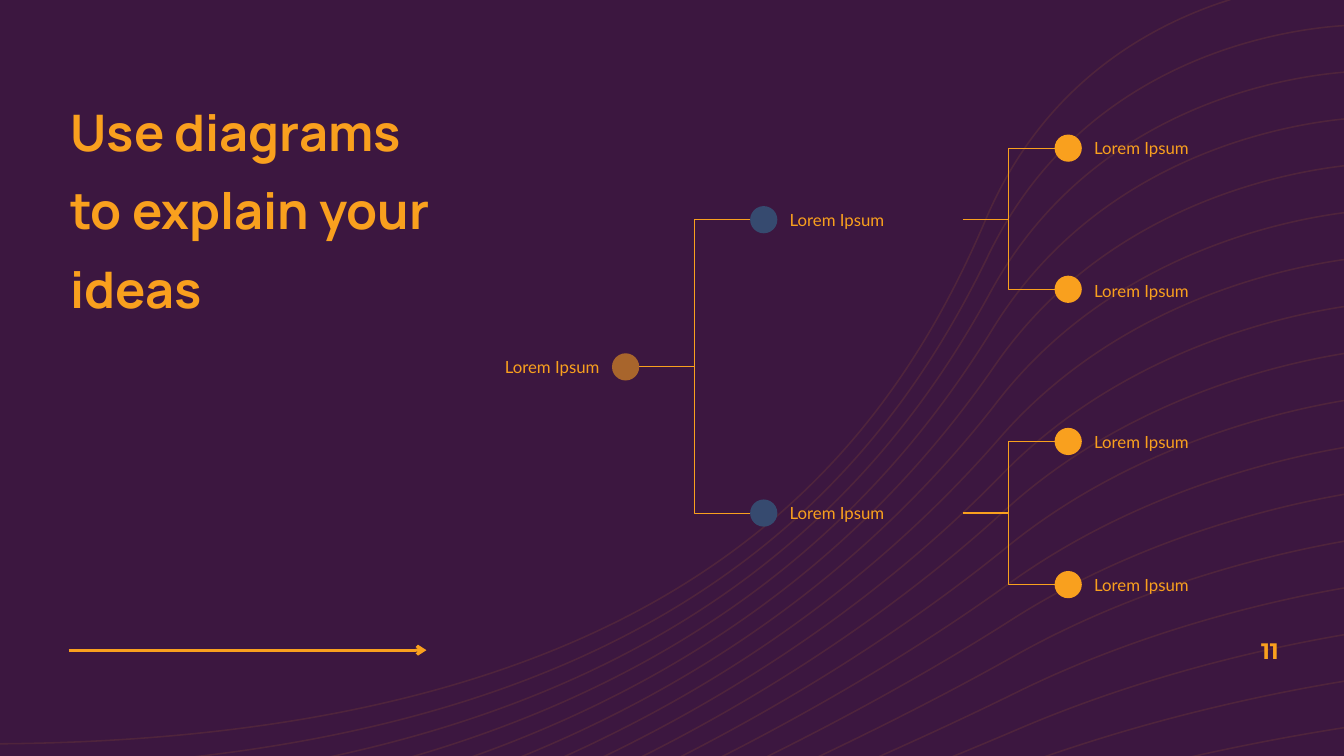
from lxml.etree import SubElement
from pptx import Presentation
from pptx.dml.color import RGBColor
from pptx.enum.shapes import MSO_CONNECTOR, MSO_SHAPE
from pptx.enum.text import MSO_ANCHOR, PP_ALIGN
from pptx.oxml.ns import qn
from pptx.util import Inches, Pt

PLUM = RGBColor(0x3C, 0x17, 0x40)
ORANGE = RGBColor(0xF9, 0xA0, 0x1E)
BRONZE = RGBColor(0xA8, 0x65, 0x2C)
SLATE = RGBColor(0x36, 0x4A, 0x6F)

DOT_SIZE = 0.27
LABEL_WIDTH, LABEL_HEIGHT = 1.84, 0.5
ROOT_X, BRANCH_X, LEAF_X = 6.07, 7.44, 10.46
ROOT_Y = 3.64
BRANCHES = {2.18: [(1.47, 0), (2.87, 0.02)], 5.09: [(4.38, 0), (5.8, 0)]}

WAVE_COUNT = 17
FIRST_WAVE = [(13.44, -0.21), (13.44, -0.21), (10.82, -0.27), (9.78, 2.17),
              (8.74, 4.61), (6.6, 7.38), (-0.21, 7.38)]
LAST_WAVE = [(13.98, 7.13), (13.98, 7.13), (12.18, 7.32), (10.16, 7.95),
             (7.19, 8.88), (2.99, 10.1), (0.56, 11.45)]
WAVE_BULGE = [(0, 0), (0, 0), (0.08, 0.07), (0, 0), (0.08, 0.08), (0, 0), (0, 0)]


def write_text(shape, text, font="Lato", size=12, bold=False, align=PP_ALIGN.LEFT,
               anchor=MSO_ANCHOR.MIDDLE, margin=0.1, spacing=None):
    frame = shape.text_frame
    frame.word_wrap = True
    frame.vertical_anchor = anchor
    frame.margin_left = frame.margin_right = Inches(margin)
    frame.margin_top = frame.margin_bottom = Inches(margin)
    para = frame.paragraphs[0]
    para.alignment = align
    para.line_spacing = spacing
    for index, line in enumerate(text.splitlines()):
        if index:
            para.add_line_break()
        span = para.add_run()
        span.text = line
        span.font.name = font
        span.font.size = Pt(size)
        span.font.bold = bold
        span.font.color.rgb = ORANGE


def wave_points(step):
    bulge = 4 * step * (1 - step)
    return [tuple(a + (b - a) * step + c * bulge for a, b, c in zip(*point))
            for point in zip(FIRST_WAVE, LAST_WAVE, WAVE_BULGE)]


class DiagramSlide:
    def __init__(self, page, color):
        self.page = page
        self.color = color
        page.background.fill.solid()
        page.background.fill.fore_color.rgb = PLUM

    def text(self, left, top, width, height, text, **style):
        box = self.page.shapes.add_textbox(
            Inches(left), Inches(top), Inches(width), Inches(height))
        write_text(box, text, **style)

    def wave(self, points):
        scaled = [(Inches(x), Inches(y)) for x, y in points]
        builder = self.page.shapes.build_freeform(*scaled[0])
        builder.add_line_segments(scaled[1:], close=False)
        curve = builder.convert_to_shape()
        curve.shadow.inherit = False
        curve.fill.background()
        curve.line.color.rgb = self.color
        curve.line.width = Pt(1.1)
        tint = curve._element.xpath(".//a:ln//a:srgbClr")[0]
        SubElement(tint, qn("a:alpha")).set("val", "10000")
        outline = curve._element.xpath(".//a:path")[0]
        segments = outline.findall(qn("a:lnTo"))
        for start in range(0, len(segments), 3):
            bezier = SubElement(outline, qn("a:cubicBezTo"))
            for segment in segments[start:start + 3]:
                bezier.append(segment[0])
                outline.remove(segment)

    def connector(self, kind, start, end, width=0.75, arrow=False):
        link = self.page.shapes.add_connector(
            kind, *(Inches(value) for value in (*start, *end)))
        link.line.color.rgb = self.color
        link.line.width = Pt(width)
        if arrow:
            SubElement(link.line._get_or_add_ln(), qn("a:tailEnd")).set("type", "arrow")
        SubElement(link._element.spPr, qn("a:effectLst"))

    def elbow(self, start, end):
        self.connector(MSO_CONNECTOR.ELBOW, start, end)

    def node(self, left, middle, color, text="Lorem Ipsum", before=False, shift=0):
        label_left = left - LABEL_WIDTH if before else left + DOT_SIZE
        label = self.page.shapes.add_shape(
            MSO_SHAPE.ROUNDED_RECTANGLE, Inches(label_left),
            Inches(middle + shift - LABEL_HEIGHT / 2),
            Inches(LABEL_WIDTH), Inches(LABEL_HEIGHT))
        label.shadow.inherit = False
        label.fill.background()
        label.line.fill.background()
        write_text(label, text, align=PP_ALIGN.RIGHT if before else PP_ALIGN.LEFT)
        dot = self.page.shapes.add_shape(
            MSO_SHAPE.OVAL, Inches(left), Inches(middle - DOT_SIZE / 2),
            Inches(DOT_SIZE), Inches(DOT_SIZE))
        dot.shadow.inherit = False
        dot.fill.solid()
        dot.fill.fore_color.rgb = color
        dot.line.fill.background()


def main():
    deck = Presentation()
    deck.slide_width, deck.slide_height = Inches(13.33), Inches(7.5)
    slide = DiagramSlide(deck.slides.add_slide(deck.slide_layouts[6]), ORANGE)

    for index in range(WAVE_COUNT):
        slide.wave(wave_points(index / (WAVE_COUNT - 1)))
    slide.connector(MSO_CONNECTOR.STRAIGHT, (0.68, 6.45), (4.23, 6.45),
                    width=2.25, arrow=True)
    slide.text(12, 6.25, 0.78, 0.4, "11", font="Montserrat", size=16, bold=True,
               align=PP_ALIGN.RIGHT)
    slide.text(0.7, 0.82, 4.23, 2.19, """Use diagrams
to explain your ideas""", font="Manrope", size=36, bold=True,
               anchor=MSO_ANCHOR.TOP, margin=0, spacing=1.3)

    branch_end = BRANCH_X + DOT_SIZE + LABEL_WIDTH
    for branch_y, leaves in BRANCHES.items():
        slide.elbow((ROOT_X + DOT_SIZE, ROOT_Y), (BRANCH_X, branch_y))
        for leaf_y, shift in leaves:
            slide.elbow((branch_end, branch_y), (LEAF_X, leaf_y))
            slide.node(LEAF_X, leaf_y, ORANGE, shift=shift)
        slide.node(BRANCH_X, branch_y, SLATE)
    slide.node(ROOT_X, ROOT_Y, BRONZE, before=True)

    deck.save("out.pptx")


if __name__ == "__main__":
    main()
